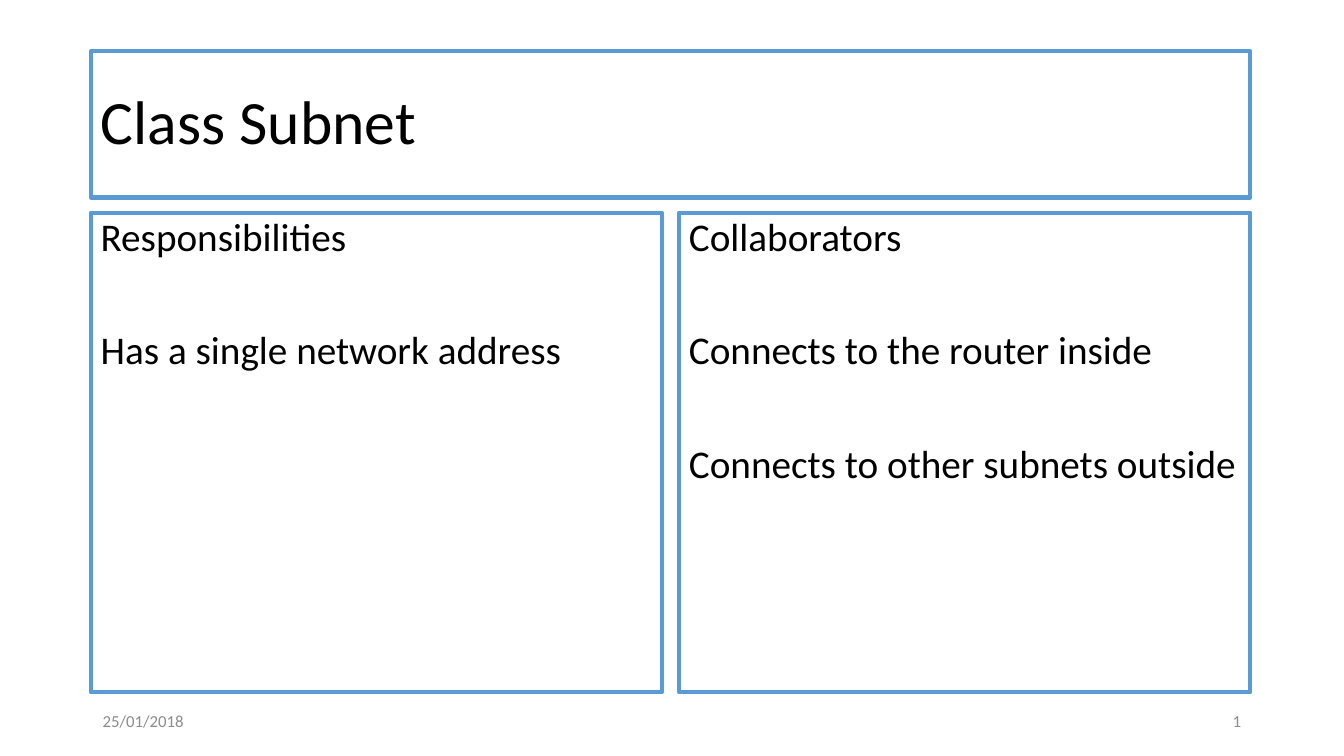
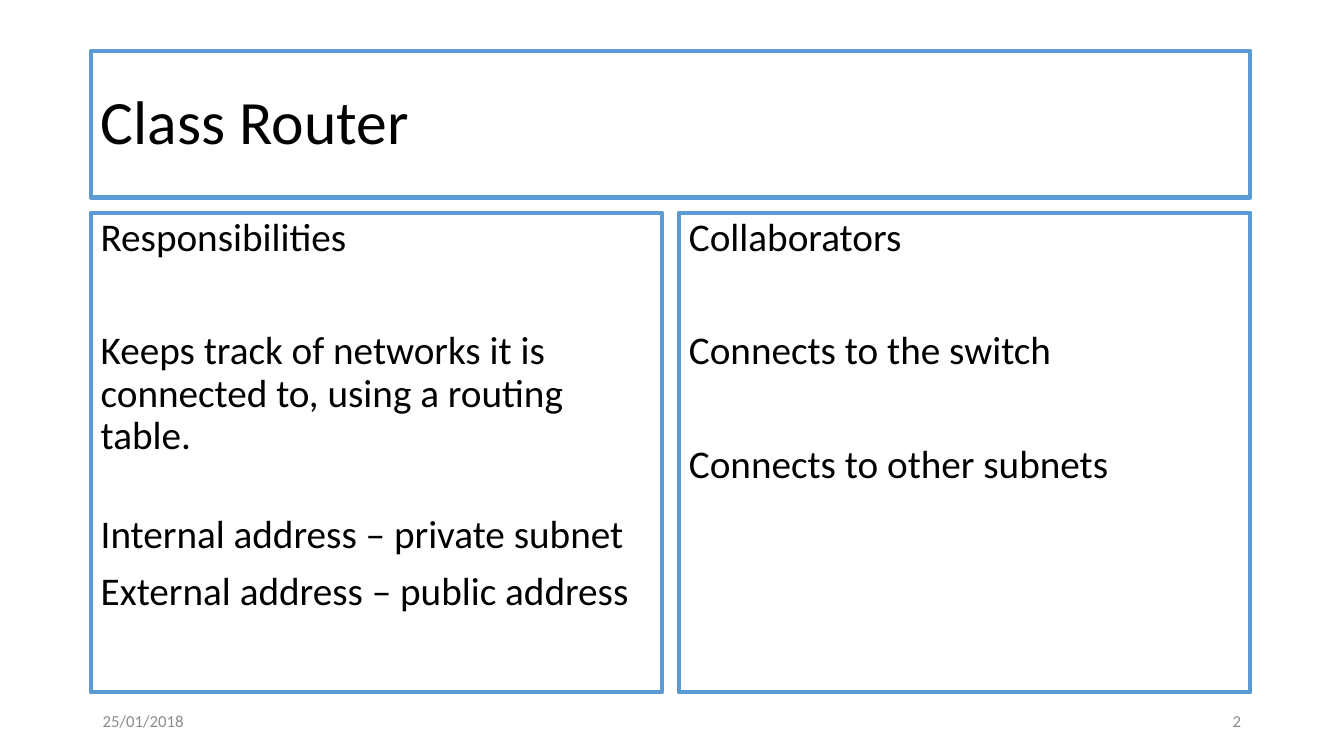
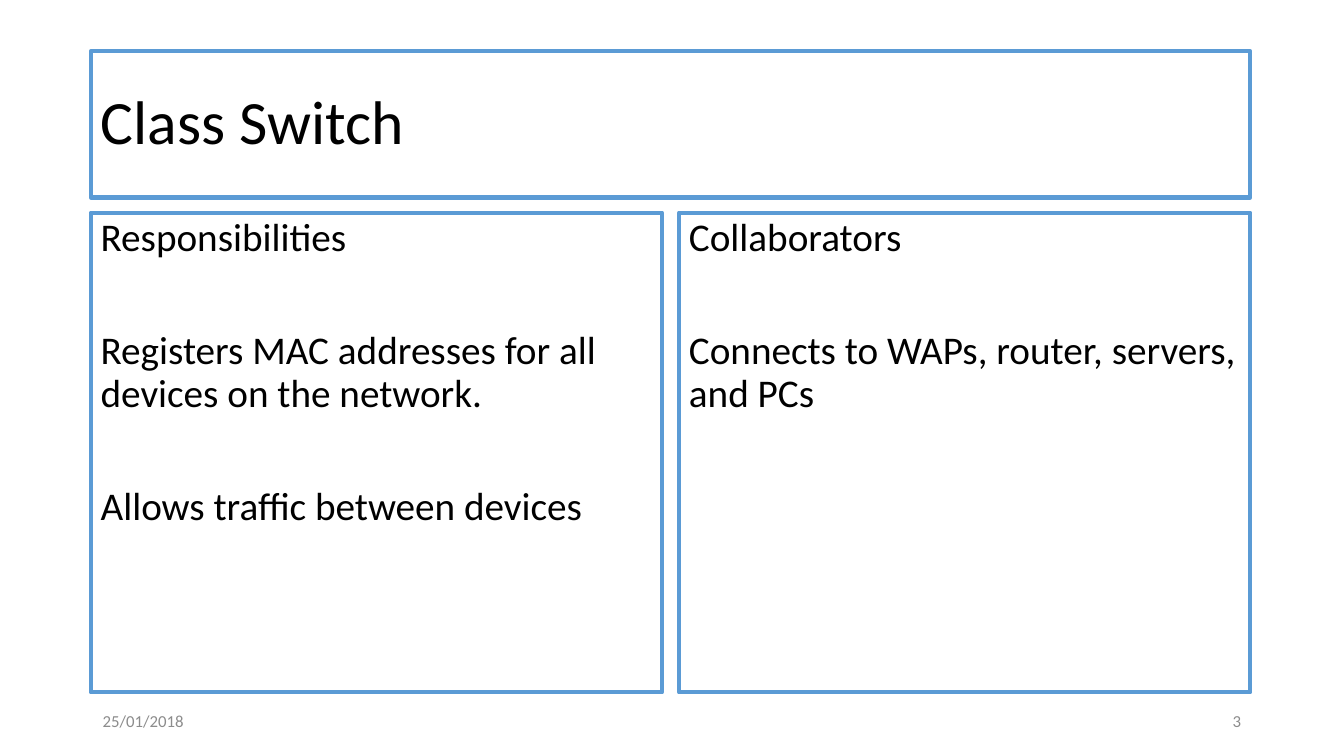
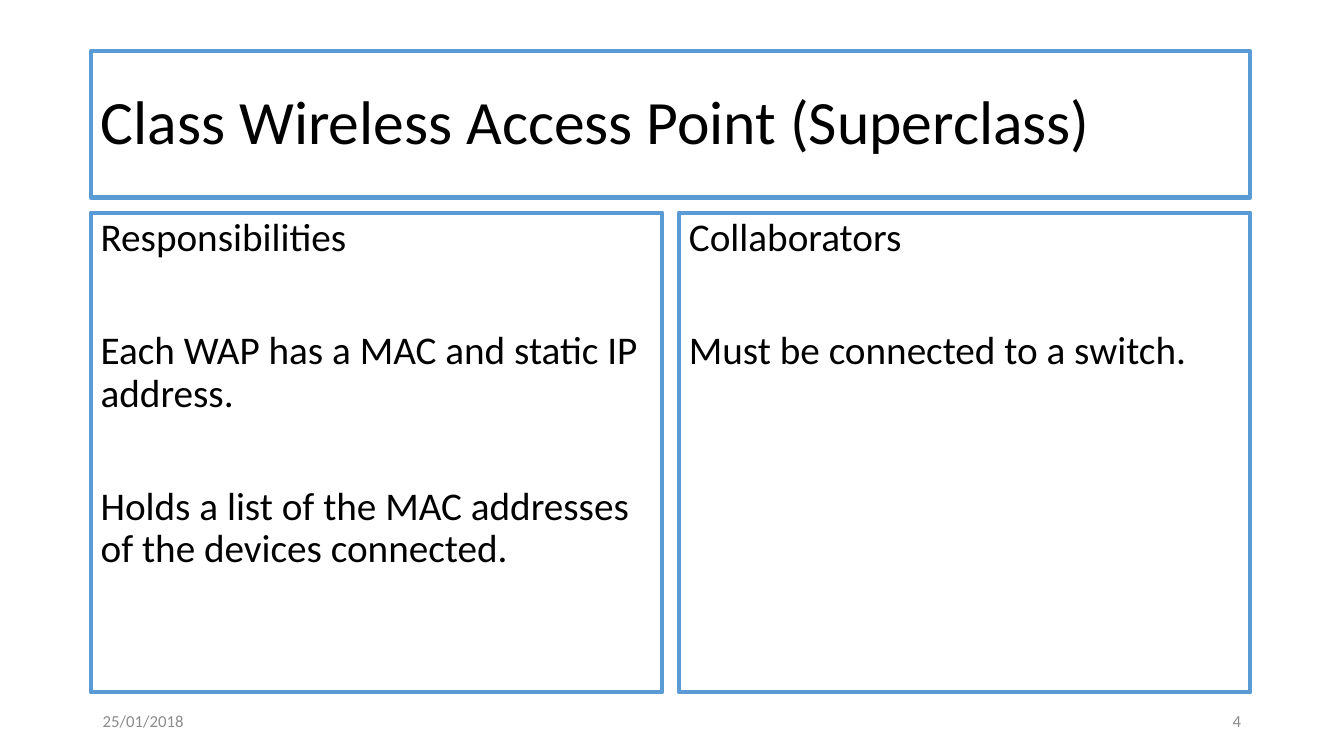
from pptx import Presentation
from pptx.dml.color import RGBColor
from pptx.enum.text import MSO_ANCHOR as Anchor, MSO_AUTO_SIZE as AutoSize, PP_ALIGN as Align
from pptx.oxml.ns import qn
from pptx.util import Inches, Pt

COLORS = {"border": "5B9BD5", "text": "000000", "footer": "8C8C8C"}
FONT = "Calibri"
SLIDE_WIDTH, SLIDE_HEIGHT = 13.33, 7.5
CARD_LEFT, CARD_WIDTH, GUTTER = 0.9, 11.5, 0.17
COLUMN_WIDTH = (CARD_WIDTH - GUTTER) / 2
TITLE_TOP, TITLE_HEIGHT = 0.51, 1.45
COLUMN_TOP, COLUMN_HEIGHT = 2.11, 4.76
FOOTER_LEFT, FOOTER_TOP, FOOTER_WIDTH, FOOTER_HEIGHT = 0.92, 6.95, 3, 0.4
TIGHT, LINE = 10, 30.75
BREAK_GAP = TIGHT + LINE
WIDE = TIGHT + BREAK_GAP
DATE = "25/01/2018"

CARDS = [
    ("Class Subnet",
     [("Has a single network address", WIDE)],
     [("Connects to the router inside", WIDE),
      ("Connects to other subnets outside", WIDE)]),
    ("Class Router",
     [("Keeps track of networks it is connected to, using a routing table.", WIDE),
      ("Internal address – private subnet", BREAK_GAP),
      ("External address – public address", TIGHT)],
     [("Connects to the switch", WIDE),
      ("Connects to other subnets", WIDE)]),
    ("Class Switch",
     [("Registers MAC addresses for all devices on the network.", WIDE),
      ("Allows traffic between devices", WIDE)],
     [("Connects to WAPs, router, servers, and PCs", WIDE)]),
    ("Class Wireless Access Point (Superclass)",
     [("Each WAP has a MAC and static IP address.", WIDE),
      ("Holds a list of the MAC addresses of the devices connected.", WIDE)],
     [("Must be connected to a switch.", WIDE)]),
]


def write(paragraph, text, size=28, color="text", align=Align.LEFT, spacing=0.9, before=0):
    """Write formatted text into a paragraph and return its run."""
    paragraph.alignment = align
    paragraph.line_spacing = spacing
    paragraph.space_before = Pt(before)
    run = paragraph.add_run()
    run.text = text
    run.font.name = FONT
    run.font.size = Pt(size)
    run.font.color.rgb = RGBColor.from_string(COLORS[color])
    return run


def place(shape, left, top, width, height, anchor=Anchor.TOP):
    """Set a shape's place in inches and return its prepared text frame."""
    shape.left, shape.top = Inches(left), Inches(top)
    shape.width, shape.height = Inches(width), Inches(height)
    frame = shape.text_frame
    frame.word_wrap = True
    frame.auto_size = AutoSize.NONE
    frame.vertical_anchor = anchor
    return frame


def outline(shape):
    """Give a shape the border of a card."""
    shape.line.color.rgb = RGBColor.from_string(COLORS["border"])
    shape.line.width = Pt(3)


def add_title(slide, text):
    """Fill the bordered title placeholder."""
    title = slide.shapes.title
    frame = place(title, CARD_LEFT, TITLE_TOP, CARD_WIDTH, TITLE_HEIGHT, Anchor.MIDDLE)
    outline(title)
    write(frame.paragraphs[0], text, size=44)


def add_column(slide, index, heading, items):
    """Add a bordered column with a heading and spaced items."""
    box = slide.shapes.add_textbox(0, 0, 0, 0)
    left = CARD_LEFT + index * (COLUMN_WIDTH + GUTTER)
    frame = place(box, left, COLUMN_TOP, COLUMN_WIDTH, COLUMN_HEIGHT)
    outline(box)
    write(frame.paragraphs[0], heading, before=TIGHT)
    for text, before in items:
        write(frame.add_paragraph(), text, before=before)


def add_footer(slide, text, left, align):
    """Add a small grey footer text and return its run."""
    box = slide.shapes.add_textbox(0, 0, 0, 0)
    frame = place(box, left, FOOTER_TOP, FOOTER_WIDTH, FOOTER_HEIGHT, Anchor.MIDDLE)
    return write(frame.paragraphs[0], text, size=12, color="footer", align=align, spacing=1)


def make_number_field(run):
    """Turn a run into a live slide number."""
    field = run._r
    field.tag = qn("a:fld")
    field.set("id", "{B6F15528-21DE-4FAA-801E-634DDDAF4B2B}")
    field.set("type", "slidenum")


def add_card(presentation, number, title, responsibilities, collaborators):
    """Add one slide that describes a class."""
    slide = presentation.slides.add_slide(presentation.slide_layouts.get_by_name("Title Only"))
    add_title(slide, title)
    add_column(slide, 0, "Responsibilities", responsibilities)
    add_column(slide, 1, "Collaborators", collaborators)
    add_footer(slide, DATE, FOOTER_LEFT, Align.LEFT)
    number_left = SLIDE_WIDTH - FOOTER_LEFT - FOOTER_WIDTH
    make_number_field(add_footer(slide, str(number), number_left, Align.RIGHT))


def main():
    """Build and save the class cards."""
    presentation = Presentation()
    presentation.slide_width = Inches(SLIDE_WIDTH)
    presentation.slide_height = Inches(SLIDE_HEIGHT)
    for number, card in enumerate(CARDS, start=1):
        add_card(presentation, number, *card)
    presentation.save("out.pptx")


main()
